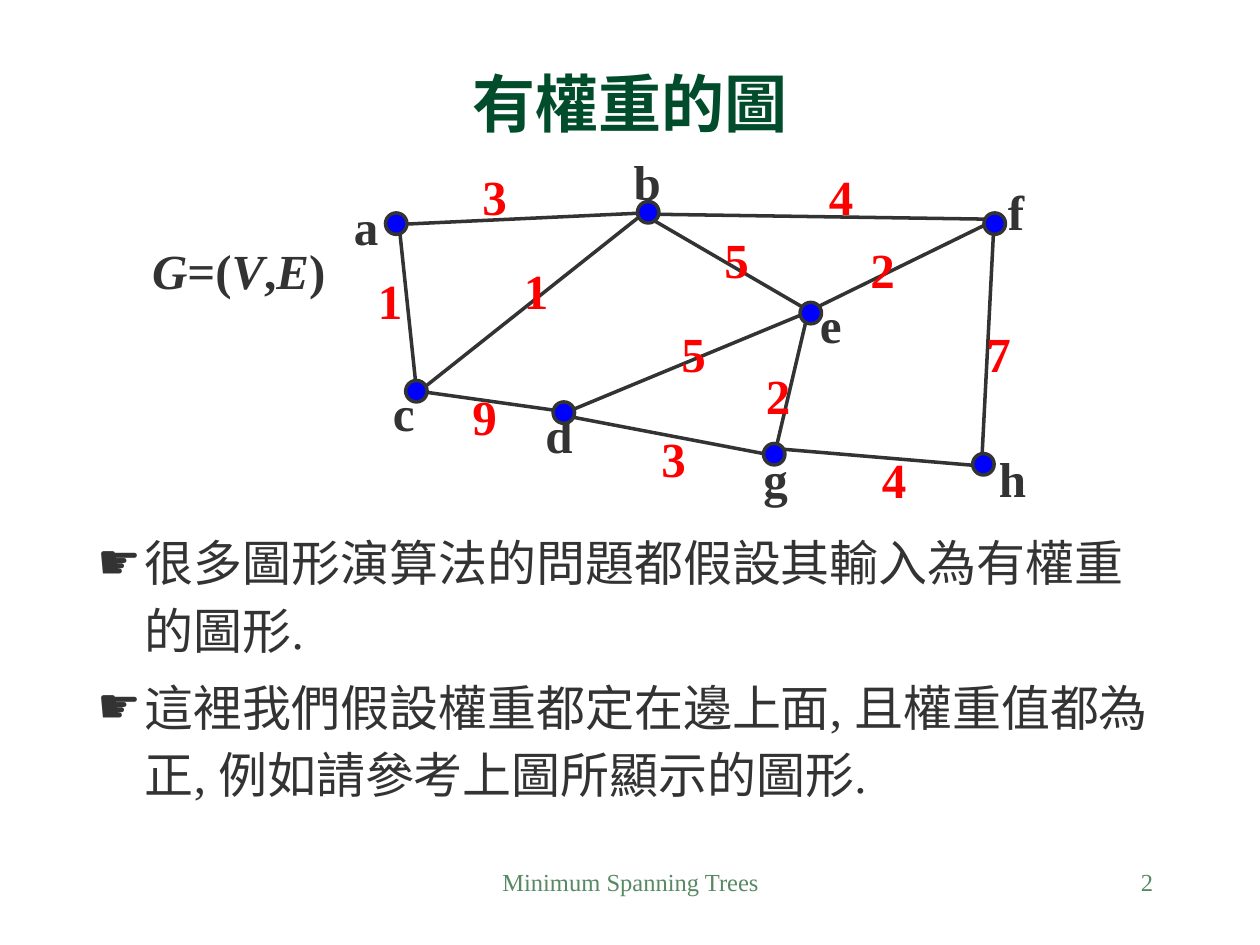
"""Build a slide about weighted graphs."""
import lxml.etree
import pptx
import pptx.dml.color
import pptx.enum.shapes
import pptx.enum.text
import pptx.oxml.ns
import pptx.util

Inches = pptx.util.Inches
Pt = pptx.util.Pt
qn = pptx.oxml.ns.qn
ALIGN = pptx.enum.text.PP_ALIGN
ANCHOR = pptx.enum.text.MSO_ANCHOR
AUTO_SIZE = pptx.enum.text.MSO_AUTO_SIZE
DARK = "333333"
GREEN = "578963"


def color(value):
    return pptx.dml.color.RGBColor.from_string(value)


def write(paragraph, text, size, value, bold=False, align=ALIGN.LEFT):
    paragraph.alignment = align
    if text:
        paragraph.add_run().text = text
    paragraph.font.name = "Times New Roman"
    paragraph.font.size = Pt(size)
    paragraph.font.bold = bold
    paragraph.font.color.rgb = color(value)


presentation = pptx.Presentation()
presentation.slide_width = Inches(10)
presentation.slide_height = Inches(7.5)
slide = presentation.slides.add_slide(presentation.slide_layouts[1])

title = slide.shapes.title
title.left, title.top, title.width, title.height = map(Inches, (0.5, 0.58, 9, 0.58))
title.text_frame.auto_size = AUTO_SIZE.NONE
title.text_frame.vertical_anchor = ANCHOR.BOTTOM
write(title.text_frame.paragraphs[0], "有權重的圖", 36, "004C2B", True, ALIGN.CENTER)

body = slide.placeholders[1]
body.left, body.top, body.width, body.height = map(Inches, (0.67, 4.11, 8.56, 2.32))
body.text_frame.auto_size = AUTO_SIZE.NONE
statements = [
    "很多圖形演算法的問題都假設其輸入為有權重的圖形.",
    "這裡我們假設權重都定在邊上面, 且權重值都為正, 例如請參考上圖所顯示的圖形.",
]
for index, statement in enumerate(statements):
    paragraph = body.text_frame.add_paragraph() if index else body.text_frame.paragraphs[0]
    properties = paragraph._p.get_or_add_pPr()
    properties.set("marL", str(Inches(0.38)))
    properties.set("indent", str(-Inches(0.38)))
    bullet_color = lxml.etree.SubElement(properties, qn("a:buClr"))
    lxml.etree.SubElement(bullet_color, qn("a:srgbClr"), val=DARK)
    lxml.etree.SubElement(properties, qn("a:buChar"), char="☛")
    paragraph.line_spacing = 1.15
    paragraph.space_before = Pt(5.2 if index else 0)
    write(paragraph, statement, 28, DARK)

graph = slide.shapes.add_group_shape()
edges = [
    (7.79, 3.7, 7.89, 1.75, "7", 7.73, 2.52),
    (5.19, 1.75, 6.46, 2.49, "5", 5.65, 1.77),
    (3.31, 3.14, 3.17, 1.81, "1", 2.9, 2.1),
    (3.19, 1.78, 5.12, 1.69, "3", 3.73, 1.27),
    (3.31, 3.12, 5.15, 1.66, "1", 4.06, 2.02),
    (6.14, 3.64, 6.42, 2.45, "2", 5.98, 2.85),
    (7.87, 1.76, 6.46, 2.45, "2", 6.81, 1.85),
    (4.43, 3.26, 3.29, 3.1, "9", 3.65, 3.02),
    (6.06, 3.6, 4.54, 3.31, "3", 5.15, 3.35),
    (6.43, 2.47, 4.5, 3.27, "5", 5.31, 2.52),
    (7.81, 3.7, 6.15, 3.56, "4", 6.9, 3.52),
    (7.87, 1.74, 5.17, 1.7, "4", 6.48, 1.27),
]
nodes = [
    ("a", 3.06, 1.69, 2.71, 1.51, 0.39),
    ("b", 5.06, 1.6, 4.93, 1.15, 0.41),
    ("c", 3.22, 3.02, 3.02, 2.99, 0.37),
    ("d", 4.39, 3.19, 4.23, 3.16, 0.41),
    ("e", 6.35, 2.4, 6.41, 2.29, 0.37),
    ("f", 7.81, 1.69, 7.9, 1.39, 0.33),
    ("g", 6.06, 3.52, 5.96, 3.51, 0.39),
    ("h", 7.72, 3.6, 7.83, 3.51, 0.41),
]
for *ends, weight, left, top in edges:
    edge = graph.shapes.add_connector(
        pptx.enum.shapes.MSO_CONNECTOR.STRAIGHT, *map(Inches, ends))
    edge.line.color.rgb = color(DARK)
    edge.line.width = Pt(2)
    lxml.etree.SubElement(edge._element.spPr, qn("a:effectLst"))

labels = [(name, left, top, width, DARK) for name, _, _, left, top, width in nodes]
labels += [(weight, left, top, 0.39, "FF0000") for *_, weight, left, top in edges]
for text, left, top, width, value in labels:
    label = graph.shapes.add_textbox(*map(Inches, (left, top, width, 0.57)))
    label.text_frame.word_wrap = False
    write(label.text_frame.paragraphs[0], text, 28, value, True)

for name, left, top, *_ in nodes:
    node = graph.shapes.add_shape(
        pptx.enum.shapes.MSO_SHAPE.OVAL, *map(Inches, (left, top, 0.17, 0.17)))
    node.shadow.inherit = False
    node.fill.solid()
    node.fill.fore_color.rgb = color("0000FF")
    node.line.color.rgb = color(DARK)
    node.line.width = Pt(2)

formula = slide.shapes.add_textbox(*map(Inches, (1.08, 1.86, 1.63, 0.57)))
formula.text_frame.word_wrap = False
formula.text_frame.auto_size = AUTO_SIZE.SHAPE_TO_FIT_TEXT
formula.text_frame.vertical_anchor = ANCHOR.MIDDLE
paragraph = formula.text_frame.paragraphs[0]
for part in ("G", "=(", "V", ",", "E", ")"):
    run = paragraph.add_run()
    run.text = part
    run.font.italic = part.isalpha()
write(paragraph, "", 28, DARK, True, ALIGN.CENTER)

footers = [
    ("Minimum Spanning Trees", 3.42, 3.17, ALIGN.CENTER),
    ("2", 7.17, 2.08, ALIGN.RIGHT),
]
for text, left, width, align in footers:
    footer = slide.shapes.add_textbox(*map(Inches, (left, 6.83, width, 0.5)))
    footer.text_frame.word_wrap = True
    write(footer.text_frame.paragraphs[0], text, 14, GREEN, False, align)

presentation.save("out.pptx")
